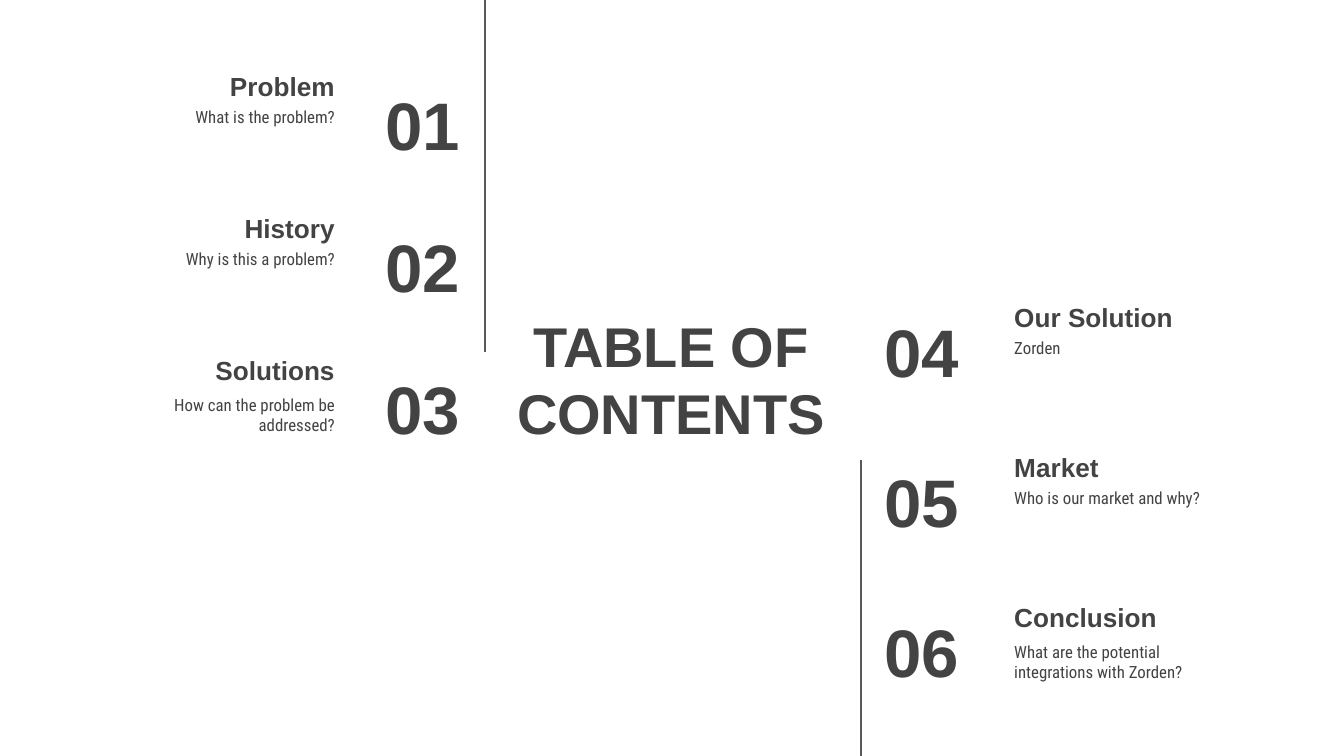
from dataclasses import dataclass

from lxml.etree import SubElement
from pptx import Presentation
from pptx.dml.color import RGBColor
from pptx.enum.shapes import MSO_CONNECTOR as Connector
from pptx.enum.text import MSO_ANCHOR as Anchor, PP_ALIGN as Align
from pptx.oxml.ns import qn
from pptx.util import Inches, Pt

PX_PER_INCH = 134.4
INK = RGBColor(0x43, 0x43, 0x43)
RULE = RGBColor(0x59, 0x59, 0x59)
WHITE = RGBColor(0xFF, 0xFF, 0xFF)
PADDING = Inches(0.1)
ROW_HEIGHT = 85
HEADING_WIDTH = 290
DETAIL_WIDTH = 246
DETAIL_DROP = 67


def px(length: int) -> int:
    return Inches(length / PX_PER_INCH)


@dataclass(frozen=True)
class Style:
    size: int
    font: str
    bold: bool
    anchor: Anchor


@dataclass(frozen=True)
class Entry:
    number: str
    heading: str
    detail: str


@dataclass(frozen=True)
class Column:
    align: Align
    heading_left: int
    detail_left: int
    number_left: int
    number_width: int
    number_drop: int
    top: int
    pitch: int
    entries: tuple[Entry, ...]


@dataclass(frozen=True)
class Divider:
    x: int
    top: int
    bottom: int


TITLE = Style(30, "Arial", True, Anchor.MIDDLE)
NUMBER = Style(36, "Arial", True, Anchor.MIDDLE)
HEADING = Style(14, "Arial", True, Anchor.BOTTOM)
DETAIL = Style(9, "Roboto Condensed", False, Anchor.TOP)

COLUMNS = (
    Column(Align.RIGHT, 58, 102, 310, 163, 51, 30, 142, (
        Entry("01", "Problem", "What is the problem?"),
        Entry("02", "History", "Why is this a problem?"),
        Entry("03", "Solutions", "How can the problem be addressed?"),
    )),
    Column(Align.LEFT, 1001, 1001, 871, 157, 47, 261, 150, (
        Entry("04", "Our Solution", "Zorden"),
        Entry("05", "Market", "Who is our market and why?"),
        Entry("06", "Conclusion", "What are the potential integrations with Zorden?"),
    )),
)
DIVIDERS = (Divider(485, 0, 352), Divider(861, 460, 756))


def set_all(target, values: dict) -> None:
    for name, value in values.items():
        setattr(target, name, value)


def write(box, text: str, style: Style, align: Align,
          left: int, top: int, width: int, height: int) -> None:
    set_all(box, {"left": px(left), "top": px(top),
                  "width": px(width), "height": px(height)})
    frame = box.text_frame
    set_all(frame, {"word_wrap": True, "vertical_anchor": style.anchor,
                    "margin_left": PADDING, "margin_right": PADDING,
                    "margin_top": PADDING, "margin_bottom": PADDING})
    para = frame.paragraphs[0]
    set_all(para, {"alignment": align, "line_spacing": 1.0, "space_before": Pt(0)})
    span = para.add_run()
    span.text = text
    set_all(span.font, {"size": Pt(style.size), "name": style.font, "bold": style.bold})
    span.font.color.rgb = INK


def add_text(page, text: str, style: Style, align: Align,
             left: int, top: int, width: int) -> None:
    box = page.shapes.add_textbox(0, 0, 0, 0)
    write(box, text, style, align, left, top, width, ROW_HEIGHT)


def add_column(page, column: Column) -> None:
    for row, entry in enumerate(column.entries):
        top = column.top + row * column.pitch
        add_text(page, entry.heading, HEADING, column.align,
                 column.heading_left, top, HEADING_WIDTH)
        add_text(page, entry.detail, DETAIL, column.align,
                 column.detail_left, top + DETAIL_DROP, DETAIL_WIDTH)
        add_text(page, entry.number, NUMBER, column.align,
                 column.number_left, top + column.number_drop, column.number_width)


def add_divider(page, divider: Divider) -> None:
    line = page.shapes.add_connector(Connector.STRAIGHT, px(divider.x), px(divider.top),
                                     px(divider.x), px(divider.bottom))
    line.line.color.rgb = RULE
    line.line.width = Pt(0.75)
    SubElement(line._element.spPr, qn("a:effectLst"))


def main() -> None:
    deck = Presentation()
    set_all(deck, {"slide_width": px(1344), "slide_height": px(756)})
    page = deck.slides.add_slide(deck.slide_layouts[5])
    page.background.fill.solid()
    page.background.fill.fore_color.rgb = WHITE
    write(page.shapes.title, "TABLE OF CONTENTS", TITLE, Align.CENTER, 497, 309, 348, 139)
    for column in COLUMNS:
        add_column(page, column)
    for divider in DIVIDERS:
        add_divider(page, divider)
    deck.save("out.pptx")


if __name__ == "__main__":
    main()
